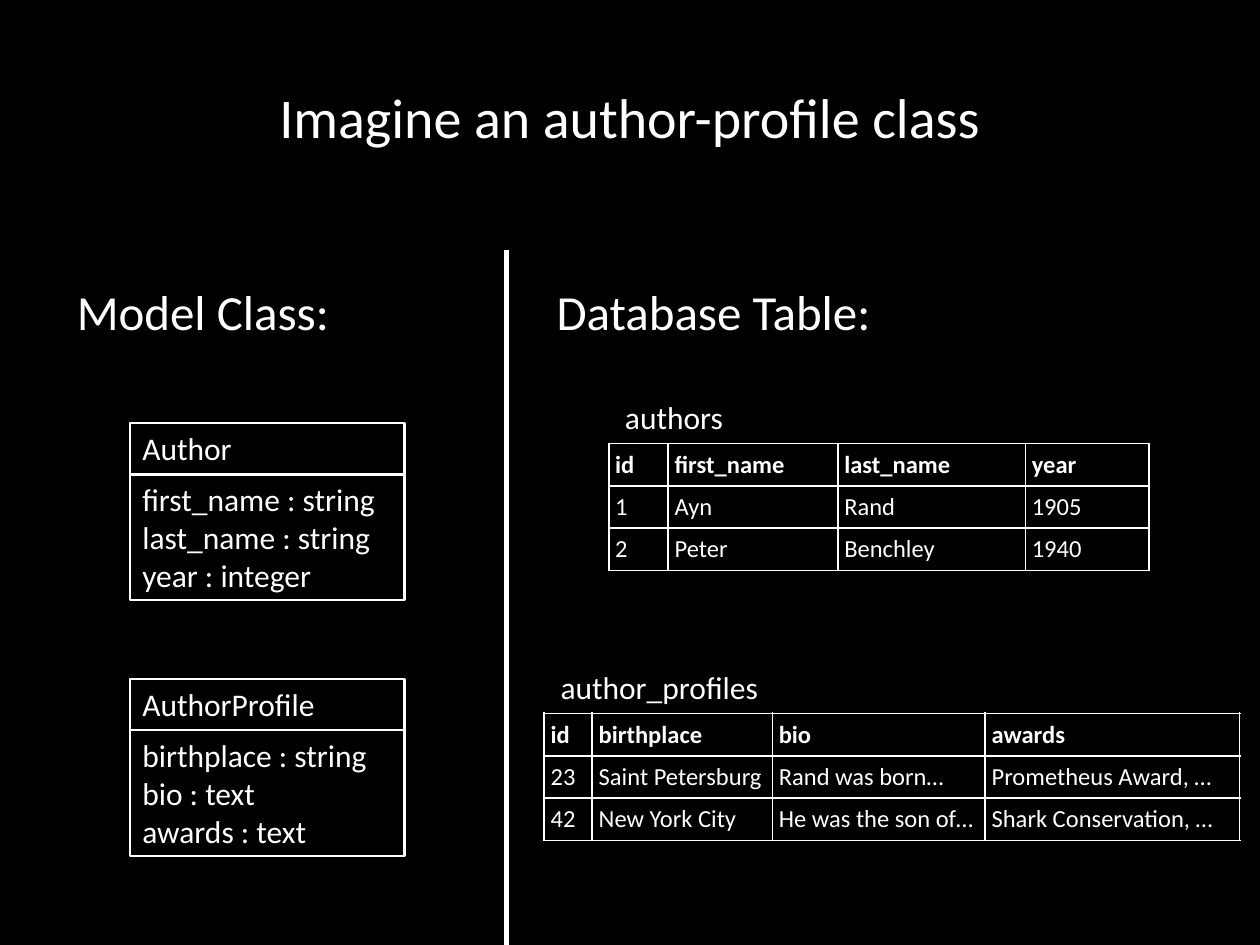
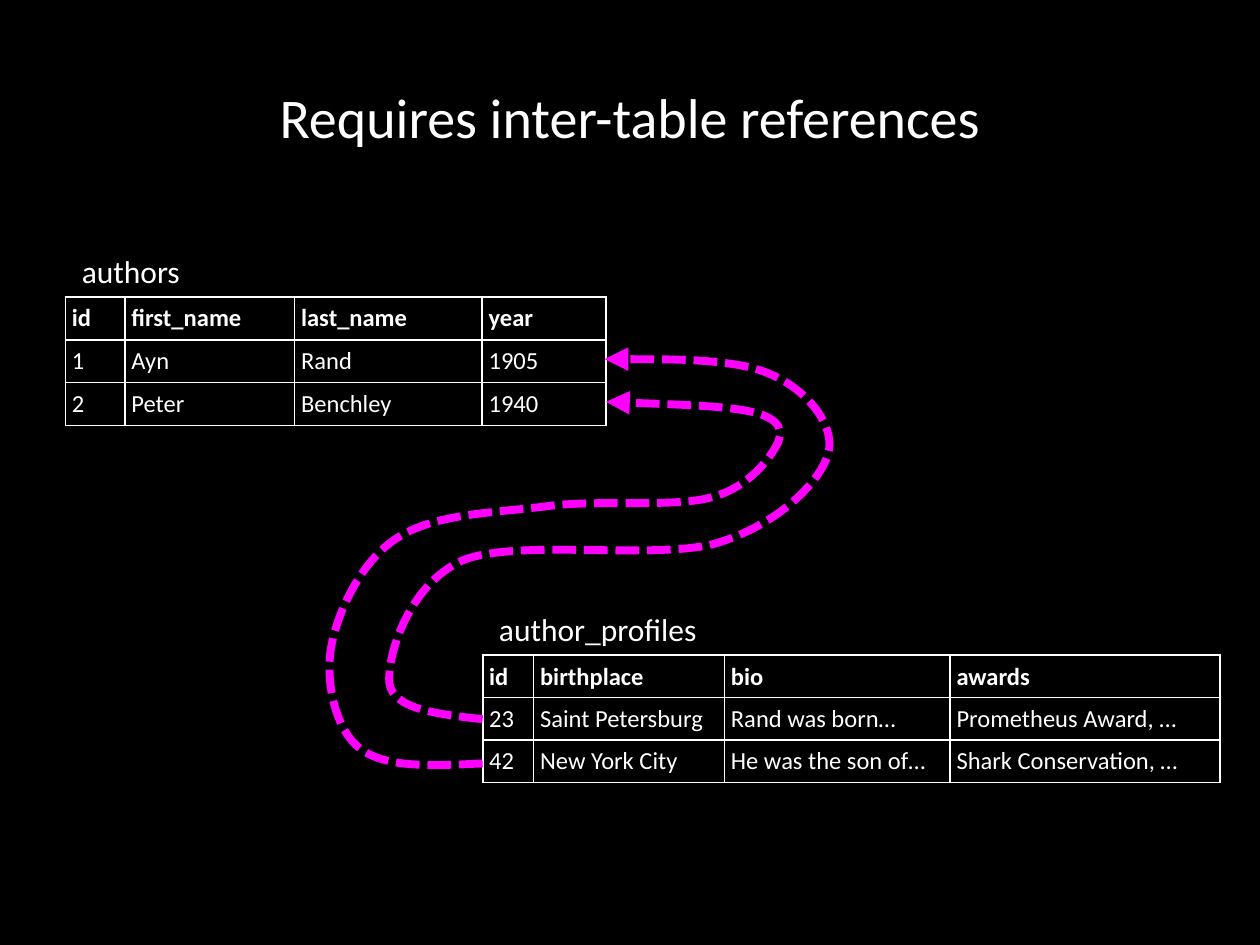
import pptx
import pptx.dml.color
import pptx.enum.dml
import pptx.enum.shapes
import pptx.enum.text
import pptx.oxml
import pptx.oxml.ns
import pptx.util

Cm = pptx.util.Cm
Pt = pptx.util.Pt
qn = pptx.oxml.ns.qn
Align = pptx.enum.text.PP_ALIGN
Anchor = pptx.enum.text.MSO_ANCHOR

BLACK = pptx.dml.color.RGBColor(0x00, 0x00, 0x00)
WHITE = pptx.dml.color.RGBColor(0xFF, 0xFF, 0xFF)
PINK = pptx.dml.color.RGBColor(0xFF, 0x00, 0xFF)
FONT = "Calibri"
ROW = 0.85
HEAD = 1.03

AUTHORS = {
    "name": "authors",
    "widths": (1.2, 3.42, 3.78, 2.49),
    "rows": (
        ("id", "first_name", "last_name", "year"),
        ("1", "Ayn", "Rand", "1905"),
        ("2", "Peter", "Benchley", "1940"),
    ),
}
PROFILES = {
    "name": "author_profiles",
    "widths": (0.97, 3.63, 4.29, 5.13),
    "rows": (
        ("id", "birthplace", "bio", "awards"),
        ("23", "Saint Petersburg", "Rand was born…", "Prometheus Award, …"),
        ("42", "New York City", "He was the son of…", "Shark Conservation, …"),
    ),
}

# Each path is a start point, then three points per Bézier curve.
RAND_PATH = (
    (9.73, 14.5),
    (8.84, 14.4), (7.92, 14.3), (7.85, 13.77),
    (7.8, 13.23), (8.23, 11.79), (9.32, 11.3),
    (10.41, 10.85), (13.23, 11.3), (14.45, 10.95),
    (15.7, 10.57), (16.51, 9.73), (16.69, 9.17),
    (16.87, 8.61), (16.28, 7.85), (15.52, 7.54),
    (14.78, 7.21), (12.19, 7.24), (12.19, 7.24),
)
BENCHLEY_PATH = (
    (9.73, 15.39),
    (8.74, 15.44), (7.77, 15.49), (7.26, 15.09),
    (6.76, 14.71), (6.55, 13.74), (6.68, 13.03),
    (6.81, 12.32), (7.29, 11.3), (8, 10.85),
    (8.74, 10.36), (9.93, 10.34), (11, 10.21),
    (12.04, 10.06), (13.54, 10.24), (14.33, 10.03),
    (15.09, 9.83), (15.49, 9.27), (15.65, 8.99),
    (15.8, 8.71), (15.77, 8.46), (15.19, 8.31),
    (14.63, 8.18), (13.41, 8.15), (12.22, 8.1),
)


def write(frame, text, size=18, bold=False, align=Align.LEFT, anchor=Anchor.TOP):
    """Fill a text frame, one paragraph per line of text."""
    frame.text = text
    frame.vertical_anchor = anchor
    for para in frame.paragraphs:
        para.alignment = align
        para.font.name = FONT
        para.font.size = Pt(size)
        para.font.bold = bold
        para.font.color.rgb = WHITE


def add_slide(deck, title):
    slide = deck.slides.add_slide(deck.slide_layouts[5])
    box = slide.shapes.title
    box.left, box.top, box.width, box.height = Cm(1.27), Cm(0.76), Cm(22.86), Cm(3.18)
    write(box.text_frame, title, size=32, align=Align.CENTER, anchor=Anchor.MIDDLE)
    return slide


def add_label(slide, text, left, top, width, height=HEAD, size=18):
    box = slide.shapes.add_textbox(Cm(left), Cm(top), Cm(width), Cm(height))
    box.text_frame.word_wrap = False
    write(box.text_frame, text, size=size)


def add_box(slide, text, left, top, height):
    kind = pptx.enum.shapes.MSO_SHAPE.RECTANGLE
    box = slide.shapes.add_shape(kind, Cm(left), Cm(top), Cm(5.54), Cm(height))
    box.shadow.inherit = False
    box.fill.background()
    box.line.color.rgb = WHITE
    box.line.width = Pt(1.5)
    write(box.text_frame, text)


def add_class(slide, name, fields, left, top):
    add_box(slide, "\n".join(fields), left, top + HEAD, 2.54)
    add_box(slide, name, left, top, HEAD)


def add_rule(slide, left, top, bottom):
    kind = pptx.enum.shapes.MSO_CONNECTOR.STRAIGHT
    rule = slide.shapes.add_connector(kind, Cm(left), Cm(top), Cm(left), Cm(bottom))
    rule.line.color.rgb = WHITE
    rule.line.width = Pt(3)
    pptx.oxml.ns  # namespace helpers also serve the empty effect list below
    rule.line._get_or_add_ln().addnext(make_tag("a:effectLst"))


def make_tag(name, inner="", **attrs):
    pairs = "".join(f' {key}="{value}"' for key, value in attrs.items())
    space = pptx.oxml.ns.nsdecls("a")
    return pptx.oxml.parse_xml(f"<{name} {space}{pairs}>{inner}</{name}>")


def set_edges(cell):
    props = cell._tc.get_or_add_tcPr()
    ink = f'<a:solidFill><a:srgbClr val="{WHITE}"/></a:solidFill>'
    for side in "LRTB":
        props.append(make_tag(f"a:ln{side}", ink, w=Pt(1.08)))


def add_table(slide, data, left, top, scale=1):
    """Draw a named data table with its name above it."""
    rows = data["rows"]
    widths = [width * scale for width in data["widths"]]
    frame = slide.shapes.add_table(
        len(rows), len(widths), Cm(left), Cm(top), Cm(sum(widths)), Cm(ROW * len(rows)))
    table = frame.table
    for column, width in zip(table.columns, widths):
        column.width = Cm(width)
    for r, row in enumerate(rows):
        table.rows[r].height = Cm(ROW)
        for c, text in enumerate(row):
            cell = table.cell(r, c)
            set_edges(cell)
            cell.fill.solid()
            cell.fill.fore_color.rgb = BLACK
            cell.margin_left = cell.margin_right = Cm(0.13)
            cell.margin_top = cell.margin_bottom = Cm(0.13)
            write(cell.text_frame, text, size=14, bold=r == 0)
    add_label(slide, data["name"], left + 0.08, top - 1.04, 4.5)


def add_curve(slide, points):
    """Draw a dashed Bézier arrow that ends at the last point."""
    spots = [(Cm(x), Cm(y)) for x, y in points]
    pen = slide.shapes.build_freeform(*spots[0])
    pen.add_line_segments(spots[1:], close=False)
    curve = pen.convert_to_shape()
    curve.shadow.inherit = False
    curve.fill.background()
    curve.line.color.rgb = PINK
    curve.line.width = Pt(4.5)
    curve.line.dash_style = pptx.enum.dml.MSO_LINE.SQUARE_DOT
    curve.line._get_or_add_ln().append(make_tag("a:tailEnd", type="triangle"))

    track = next(curve._element.iter(qn("a:path")))
    steps = track.findall(qn("a:lnTo"))
    for i in range(0, len(steps), 3):
        bend = make_tag("a:cubicBezTo")
        steps[i].addprevious(bend)
        for step in steps[i:i + 3]:
            bend.append(step[0])
            track.remove(step)


def main():
    deck = pptx.Presentation()
    deck.slide_width, deck.slide_height = Cm(25.4), Cm(19.05)
    back = deck.slide_master.background.fill
    back.solid()
    back.fore_color.rgb = BLACK

    slide = add_slide(deck, "Imagine an author-profile class")
    add_label(slide, "Model Class:", 1.3, 5.56, 5.59, height=1.45, size=28)
    add_label(slide, "Database Table:", 10.97, 5.56, 6.93, height=1.45, size=28)
    add_rule(slide, 10.21, 5.03, 19.05)
    add_class(slide, "Author",
              ("first_name : string", "last_name : string", "year : integer"), 2.62, 8.53)
    add_class(slide, "AuthorProfile",
              ("birthplace : string", "bio : text", "awards : text"), 2.62, 13.69)
    add_table(slide, AUTHORS, 12.27, 8.94)
    add_table(slide, PROFILES, 10.97, 14.38)

    slide = add_slide(deck, "Requires inter-table references")
    add_table(slide, AUTHORS, 1.32, 5.99)
    add_table(slide, PROFILES, 9.73, 13.21, scale=1.06)
    add_curve(slide, RAND_PATH)
    add_curve(slide, BENCHLEY_PATH)

    deck.save("out.pptx")


if __name__ == "__main__":
    main()
